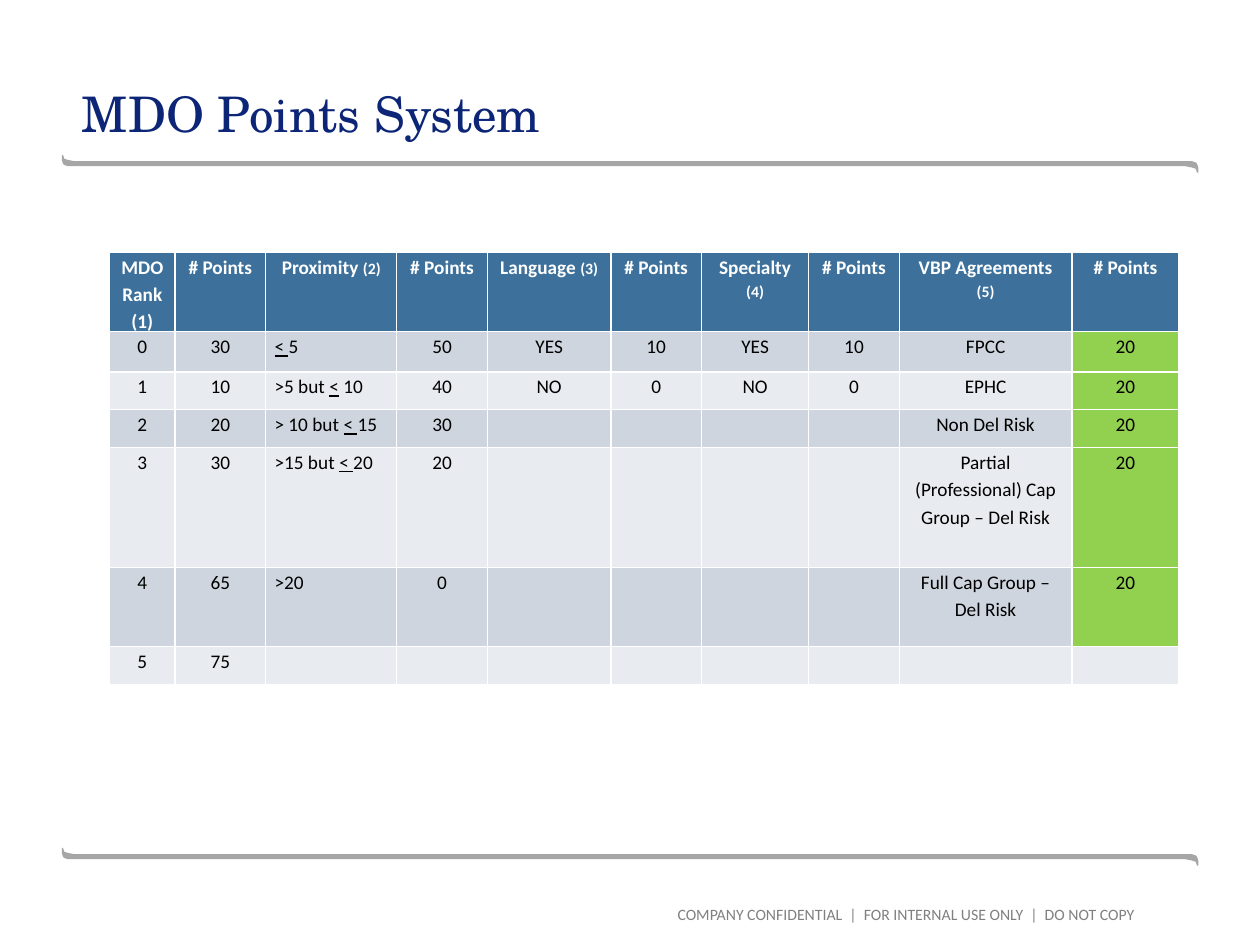
from lxml.etree import SubElement
from pptx import Presentation
from pptx.dml.color import RGBColor
from pptx.enum.text import MSO_ANCHOR, PP_ALIGN
from pptx.oxml.ns import qn
from pptx.util import Inches, Pt

WIDTH, HEIGHT = 10, 7.5
TITLE = "MDO Points System"
FOOTER = "COMPANY CONFIDENTIAL  |  FOR INTERNAL USE ONLY  |  DO NOT COPY"

# Text between underscores is small in the header and underlined in the body.
HEADER = ["", "MDO Rank (1)", "# Points", "Proximity _(2)_", "# Points",
          "Language _(3)_", "# Points", "Specialty\n_(4)_", "# Points",
          "VBP Agreements _(5)_", "# Points"]
BODY = [
    ["", "0", "30", "_< _5", "50", "YES", "10", "YES", "10", "FPCC", "20"],
    ["", "1", "10", ">5 but _<_ 10", "40", "NO", "0", "NO", "0", "EPHC", "20"],
    ["", "2", "20", "> 10 but _< _15", "30", "", "", "", "", "Non Del Risk", "20"],
    ["", "3", "30", ">15 but _< _20", "20", "", "", "", "",
     "Partial (Professional) Cap Group – Del Risk", "20"],
    ["", "4", "65", ">20", "0", "", "", "", "", "Full Cap Group – Del Risk", "20"],
    ["", "5", "75", "", "", "", "", "", "", "", ""],
]
COLUMN_WIDTHS = [0.52, 0.52, 0.72, 1.04, 0.72, 0.98, 0.72, 0.85, 0.72, 1.37, 0.85]
ROW_HEIGHTS = [0.63, 0.32, 0.3, 0.3, 0.95, 0.63, 0.3]
SPACER, PROXIMITY, LAST = 0, 3, len(HEADER) - 1

HEADER_FILL, BANDS, HIGHLIGHT = "3D719C", ("CED5DE", "E8EBEF"), "92D050"
RULE_CENTRES = [1.3, 6.8]
# Left end of a rule: x on the slide, y from the rule's centre line.
RULE_END = [(0.59, -0.02), (0.54, -0.03), (0.51, -0.04), (0.5, -0.07), (0.49, -0.07),
            (0.49, -0.03), (0.5, 0), (0.51, 0.01), (0.54, 0.02), (0.59, 0.02)]


def color(value):
    return RGBColor.from_string(value)


def set_font(font, name, size, value, bold=False):
    font.name, font.size, font.bold = name, Pt(size), bold
    font.color.rgb = color(value)


def add_rule(page, centre):
    """Draw a bar with curled ends; the right end is the left one turned by 180 degrees."""
    outline = RULE_END + [(WIDTH - x, -y) for x, y in RULE_END]
    points = [(Inches(x), Inches(centre + y)) for x, y in outline]
    builder = page.shapes.build_freeform(*points[0])
    builder.add_line_segments(points[1:], close=True)
    rule = builder.convert_to_shape()
    rule.shadow.inherit = False
    rule.fill.solid()
    rule.fill.fore_color.rgb = color("A6A6A6")
    rule.line.fill.background()


def add_text(page, text, place, insets, anchor, align, font):
    box = page.shapes.add_textbox(*map(Inches, place))
    frame = box.text_frame
    frame.word_wrap = True
    frame.vertical_anchor = anchor
    (frame.margin_left, frame.margin_top,
     frame.margin_right, frame.margin_bottom) = map(Inches, insets)
    para = frame.paragraphs[0]
    para.text, para.alignment = text, align
    set_font(para.font, *font)


def cell_fill(row, column, text):
    if column == SPACER:
        return None
    if row == 0:
        return HEADER_FILL
    if column == LAST and text:
        return HIGHLIGHT
    return BANDS[(row - 1) % 2]


def fill_cell(cell, row, column, text):
    cell.margin_left = cell.margin_right = Inches(0.07)
    cell.margin_top = cell.margin_bottom = 0
    fill = cell_fill(row, column, text)
    if fill:
        cell.fill.solid()
        cell.fill.fore_color.rgb = color(fill)
    else:
        cell.fill.background()
    is_header = row == 0
    for number, line in enumerate(text.split("\n")):
        frame = cell.text_frame
        para = frame.add_paragraph() if number else frame.paragraphs[0]
        para.line_spacing = 1.15
        left = column == PROXIMITY and not is_header
        para.alignment = PP_ALIGN.LEFT if left else PP_ALIGN.CENTER
        set_font(para.font, "Calibri", 11, "FFFFFF" if is_header else "000000", is_header)
        for index, piece in enumerate(line.split("_")):
            if not piece:
                continue
            span = para.add_run()
            span.text = piece
            if index % 2 and is_header:
                span.font.size = Pt(9)
            elif index % 2:
                span.font.underline = True
        if not line:  # an empty cell must not stretch its row
            SubElement(para._p, qn("a:endParaRPr"), sz="1100")


def add_points_table(page):
    rows = [HEADER] + BODY
    table = page.shapes.add_table(
        len(rows), len(HEADER), Inches(0.35), Inches(2),
        Inches(sum(COLUMN_WIDTHS)), Inches(sum(ROW_HEIGHTS))).table
    for column, width in zip(table.columns, COLUMN_WIDTHS):
        column.width = Inches(width)
    for table_row, height in zip(table.rows, ROW_HEIGHTS):
        table_row.height = Inches(height)
    for row, texts in enumerate(rows):
        for column, text in enumerate(texts):
            fill_cell(table.cell(row, column), row, column, text)


def main():
    deck = Presentation()
    deck.slide_width, deck.slide_height = Inches(WIDTH), Inches(HEIGHT)
    page = deck.slides.add_slide(deck.slide_layouts[6])
    for centre in RULE_CENTRES:
        add_rule(page, centre)
    add_text(page, TITLE, (0.5, 0.08, 9, 1.1), (0.15, 0.05, 0.1, 0.05),
             MSO_ANCHOR.BOTTOM, PP_ALIGN.LEFT, ("TeX Gyre Schola", 28, "0C2577"))
    add_points_table(page)
    add_text(page, FOOTER, (3.42, 7.18, 5.58, 0.15), (0, 0, 0, 0),
             MSO_ANCHOR.MIDDLE, PP_ALIGN.RIGHT, ("Calibri", 9, "808080"))
    deck.save("out.pptx")


if __name__ == "__main__":
    main()
